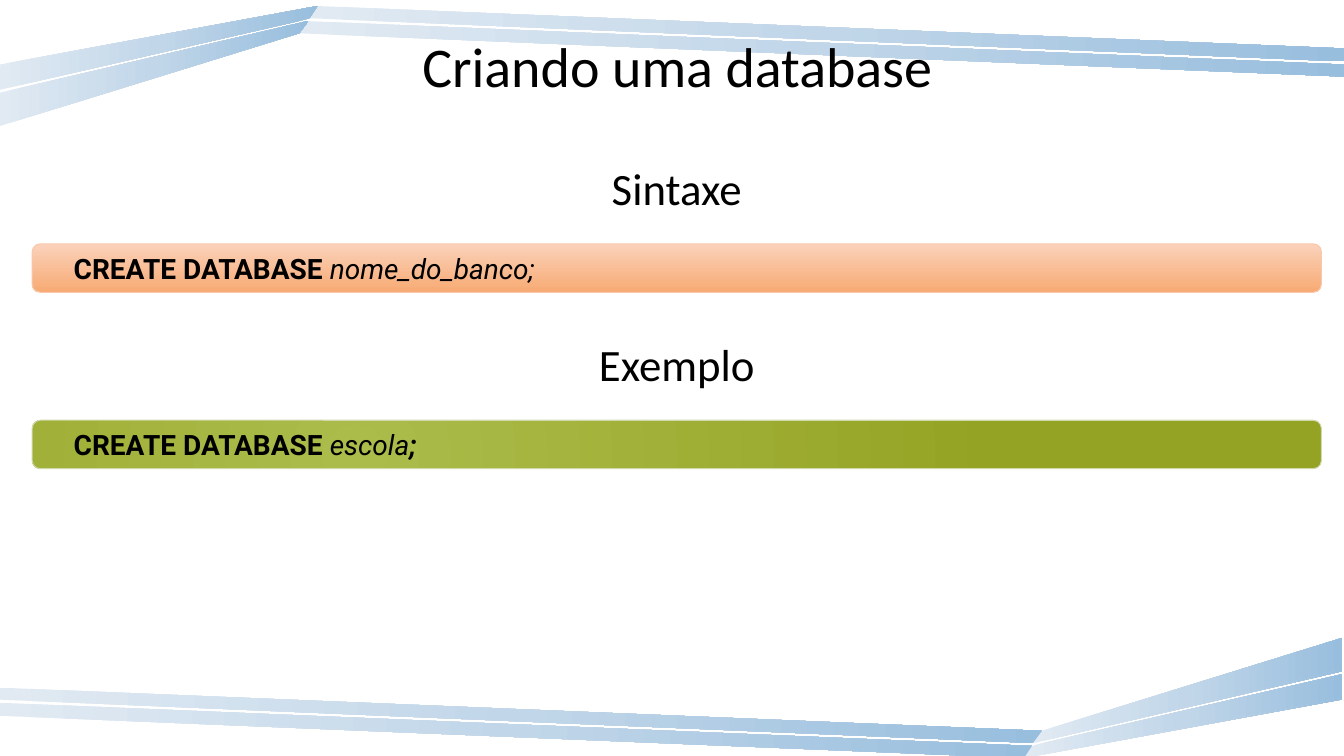
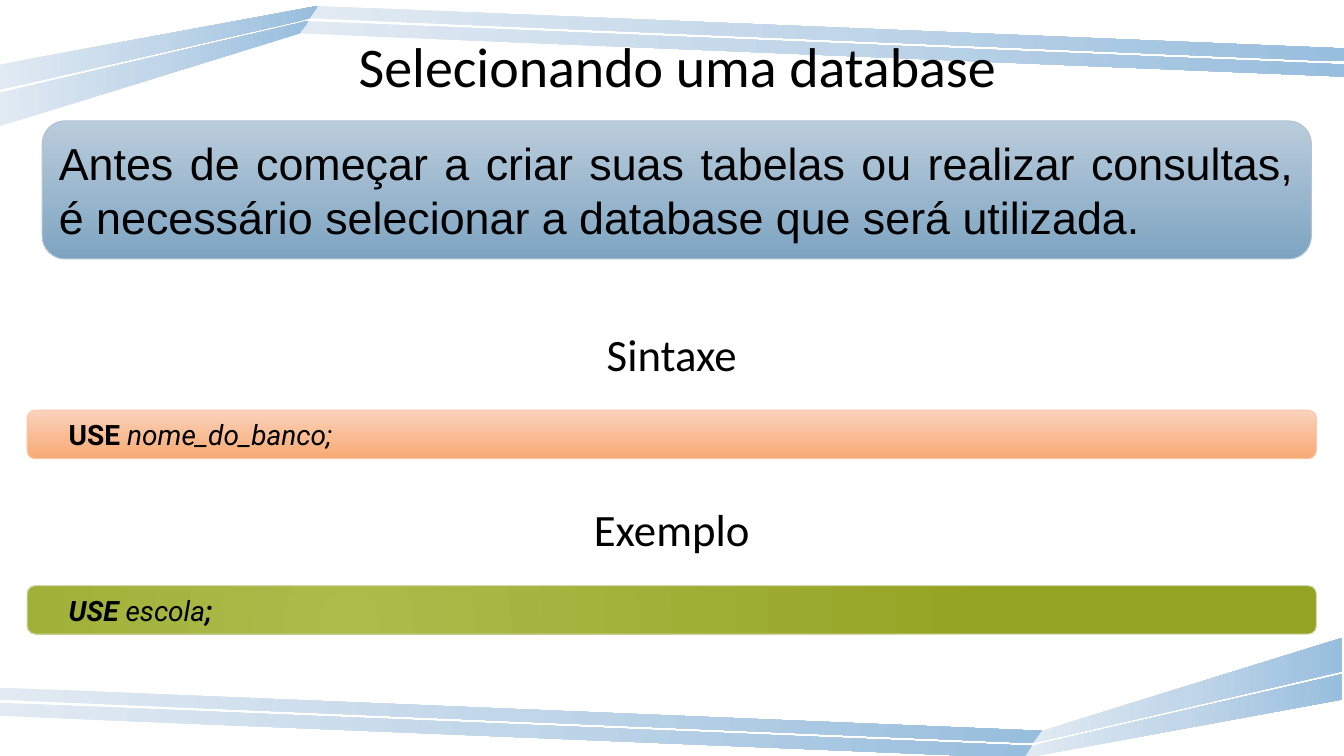
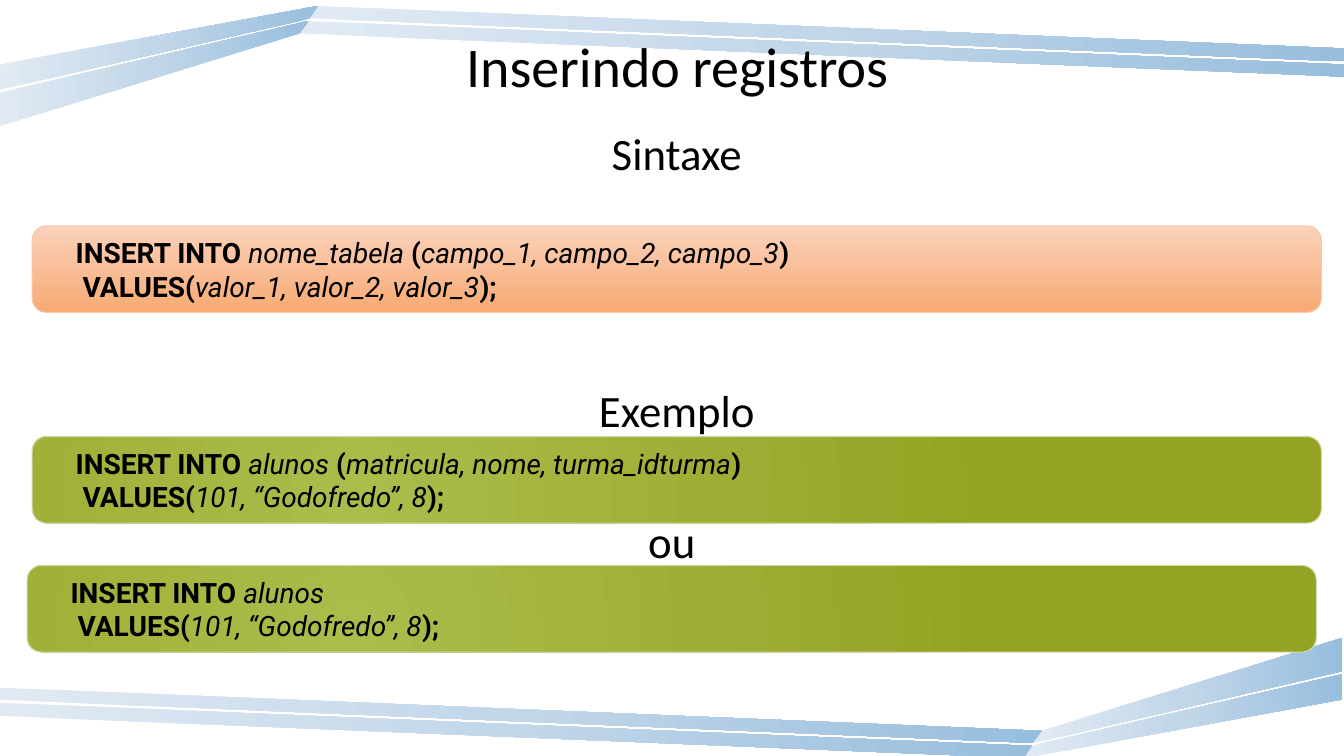
from dataclasses import dataclass

import pptx
import pptx.dml.color
import pptx.enum.shapes
import pptx.enum.text
import pptx.oxml
import pptx.oxml.ns
import pptx.util
from pptx.slide import Slide, SlideLayout

Pt = pptx.util.Pt
ALIGN = pptx.enum.text.PP_ALIGN
ANCHOR = pptx.enum.text.MSO_ANCHOR

BLACK = "000000"
LEFT_TO_RIGHT = '<a:lin ang="0" scaled="0"/>'
TOP_TO_BOTTOM = '<a:lin ang="5400000" scaled="0"/>'
RADIAL = ('<a:path path="circle"><a:fillToRect l="50000" t="100000" '
          'r="100000" b="50000"/></a:path>')


@dataclass(frozen=True)
class Style:
    colors: tuple[str, ...]
    direction: str
    line: str | None = None


@dataclass(frozen=True)
class Run:
    text: str
    bold: bool = False
    italic: bool = False


@dataclass(frozen=True)
class CodeBlock:
    heading: str
    heading_top: float
    left: float
    top: float
    style: Style
    lines: tuple[tuple[Run, ...], ...]


RIBBON = Style(("E1EAF3", "C1D6E9", "98BEDE"), LEFT_TO_RIGHT)
SYNTAX = Style(("FBD2BB", "F7AA73"), TOP_TO_BOTTOM, "FAC7AB")
EXAMPLE = Style(("ACBC4B", "94A323"), RADIAL, "D0D8AD")
NOTE = Style(("BACCDB", "7EA4C2"), TOP_TO_BOTTOM, "B0C4D6")

RIBBONS = (
    ((220.3, 15.1), (213.8, 23.8), (959.8, 54.7), (959.8, 46.1)),
    ((959.8, 43.9), (959.8, 34.6), (226.8, 4.3), (221, 13)),
    ((226.8, 4.3), (0, 46.1), (0, 47.5)),
    ((219.6, 15.1), (0, 66.2), (0, 67.7)),
    ((219.6, 15.1), (0, 67.7), (0, 90), (213.8, 23.8), (220.3, 15.1)),
    ((0, 64.1), (213.1, 15.1), (221, 13), (226.8, 4.3), (0, 47.5)),
)
TURN_X, TURN_Y = 958.3, 545.8
BAR_WIDTH = 920.9
BAR_HEIGHTS = {1: 34.6, 2: 61.9}
HEADING_WIDTH, HEADING_HEIGHT = 260.6, 58.3
LEFT, LEFT_SHIFTED = 23, 19.4


def rgb(color: str) -> pptx.dml.color.RGBColor:
    return pptx.dml.color.RGBColor.from_string(color)


def format_run(r, font: str, size: float, bold: bool = False,
               italic: bool = False) -> None:
    r.font.name, r.font.size = font, Pt(size)
    r.font.bold, r.font.italic = bold, italic
    r.font.color.rgb = rgb(BLACK)


def apply_style(shape, style: Style) -> None:
    shape.shadow.inherit = False
    shape.fill.solid()
    step = 100000 // (len(style.colors) - 1)
    stops = "".join(f'<a:gs pos="{i * step}"><a:srgbClr val="{c}"/></a:gs>'
                    for i, c in enumerate(style.colors))
    gradient = pptx.oxml.parse_xml(
        f'<a:gradFill {pptx.oxml.ns.nsdecls("a")} rotWithShape="1">'
        f'<a:gsLst>{stops}</a:gsLst>{style.direction}</a:gradFill>')
    sp_pr = shape.element.spPr
    sp_pr.replace(sp_pr.find(pptx.oxml.ns.qn("a:solidFill")), gradient)
    if style.line:
        shape.line.color.rgb = rgb(style.line)
        shape.line.width = Pt(0.75)
    else:
        shape.line.fill.background()


def add_ribbons(s: Slide, layout: SlideLayout) -> None:
    turned = tuple(tuple((TURN_X - x, TURN_Y - y) for x, y in points)
                   for points in RIBBONS)
    for points in RIBBONS + turned:
        start, *rest = [(Pt(x), Pt(y)) for x, y in points]
        builder = s.shapes.build_freeform(*start)
        builder.add_line_segments(rest, close=True)
        ribbon = builder.convert_to_shape()
        apply_style(ribbon, RIBBON)
        layout.shapes.element.append(ribbon.element)


def setup_title(layout: SlideLayout) -> None:
    title = layout.placeholders[0]
    title.left, title.top = Pt(36.7), Pt(18.7)
    title.width, title.height = Pt(894.2), Pt(67.7)
    title.text_frame.vertical_anchor = ANCHOR.TOP
    title.text_frame.auto_size = pptx.enum.text.MSO_AUTO_SIZE.NONE


def add_slide(prs, layout: SlideLayout, title: str) -> Slide:
    s = prs.slides.add_slide(layout)
    s.shapes.title.text_frame.text = title
    p = s.shapes.title.text_frame.paragraphs[0]
    p.alignment = ALIGN.CENTER
    format_run(p.runs[0], "Calibri", 40)
    return s


def add_panel(s: Slide, left: float, top: float, width: float, height: float,
              style: Style):
    sp = s.shapes.add_shape(pptx.enum.shapes.MSO_SHAPE.ROUNDED_RECTANGLE,
                            Pt(left), Pt(top), Pt(width), Pt(height))
    apply_style(sp, style)
    sp.text_frame.word_wrap = True
    sp.text_frame.vertical_anchor = ANCHOR.MIDDLE
    return sp


def add_code_block(s: Slide, block: CodeBlock) -> None:
    sp = add_panel(s, block.left, block.top, BAR_WIDTH,
                   BAR_HEIGHTS[len(block.lines)], block.style)
    tf = sp.text_frame
    tf.margin_left = Pt(28)
    for i, line in enumerate(block.lines):
        p = tf.add_paragraph() if i else tf.paragraphs[0]
        p.alignment = ALIGN.LEFT
        for run in line:
            r = p.add_run()
            r.text = run.text
            format_run(r, "Roboto", 20, run.bold, run.italic)

    heading_left = block.left + (BAR_WIDTH - HEADING_WIDTH) / 2
    box = s.shapes.add_textbox(Pt(heading_left), Pt(block.heading_top),
                               Pt(HEADING_WIDTH), Pt(HEADING_HEIGHT))
    box.text_frame.word_wrap = True
    box.text_frame.text = block.heading
    p = box.text_frame.paragraphs[0]
    p.alignment = ALIGN.CENTER
    format_run(p.runs[0], "Calibri", 32)


def add_note(s: Slide, text: str) -> None:
    sp = add_panel(s, 30.2, 86.4, 906.5, 98.6, NOTE)
    sp.text_frame.text = text
    p = sp.text_frame.paragraphs[0]
    p.alignment = ALIGN.JUSTIFY
    format_run(p.runs[0], "Arial", 32)


def key(text: str) -> Run:
    return Run(text, bold=True)


def var(text: str) -> Run:
    return Run(text, italic=True)


def values(items: str) -> tuple[Run, ...]:
    return key(" VALUES("), var(items), key(");")


def insert(table: str, fields: str) -> tuple[Run, ...]:
    return key("INSERT INTO "), var(table + " "), key("("), var(fields), key(")")


END = Run(";", bold=True, italic=True)
STUDENT = values("101, “Godofredo”, 8")

SLIDES = (
    ("Criando uma database", (
        CodeBlock("Sintaxe", 110.9, LEFT, 174.2, SYNTAX,
                  ((key("CREATE DATABASE "), var("nome_do_banco;")),)),
        CodeBlock("Exemplo", 236.9, LEFT, 300.2, EXAMPLE,
                  ((key("CREATE DATABASE "), var("escola"), END),)),
    ), None),
    ("Selecionando uma database", (
        CodeBlock("Sintaxe", 229.7, LEFT_SHIFTED, 293, SYNTAX,
                  ((key("USE "), var("nome_do_banco;")),)),
        CodeBlock("Exemplo", 355, LEFT_SHIFTED, 418.3, EXAMPLE,
                  ((Run("USE ", True, True), var("escola"), END),)),
    ), "Antes de começar a criar suas tabelas ou realizar consultas, "
       "é necessário selecionar a database que será utilizada."),
    ("Inserindo registros", (
        CodeBlock("Sintaxe", 86.4, LEFT, 161.3, SYNTAX,
                  (insert("nome_tabela", "campo_1, campo_2, campo_3"),
                   values("valor_1, valor_2, valor_3"))),
        CodeBlock("Exemplo", 270, LEFT, 311.8, EXAMPLE,
                  (insert("alunos", "matricula, nome, turma_idturma"), STUDENT)),
        CodeBlock("ou", 363.6, LEFT_SHIFTED, 403.9, EXAMPLE,
                  ((key("INSERT INTO "), var("alunos")), STUDENT)),
    ), None),
)


def main() -> None:
    prs = pptx.Presentation()
    prs.slide_width, prs.slide_height = Pt(960), Pt(540)
    layout = prs.slide_layouts[5]
    setup_title(layout)
    for i, (title, blocks, note) in enumerate(SLIDES):
        s = add_slide(prs, layout, title)
        if i == 0:
            add_ribbons(s, layout)
        for block in blocks:
            add_code_block(s, block)
        if note:
            add_note(s, note)
    prs.save("out.pptx")


if __name__ == "__main__":
    main()
